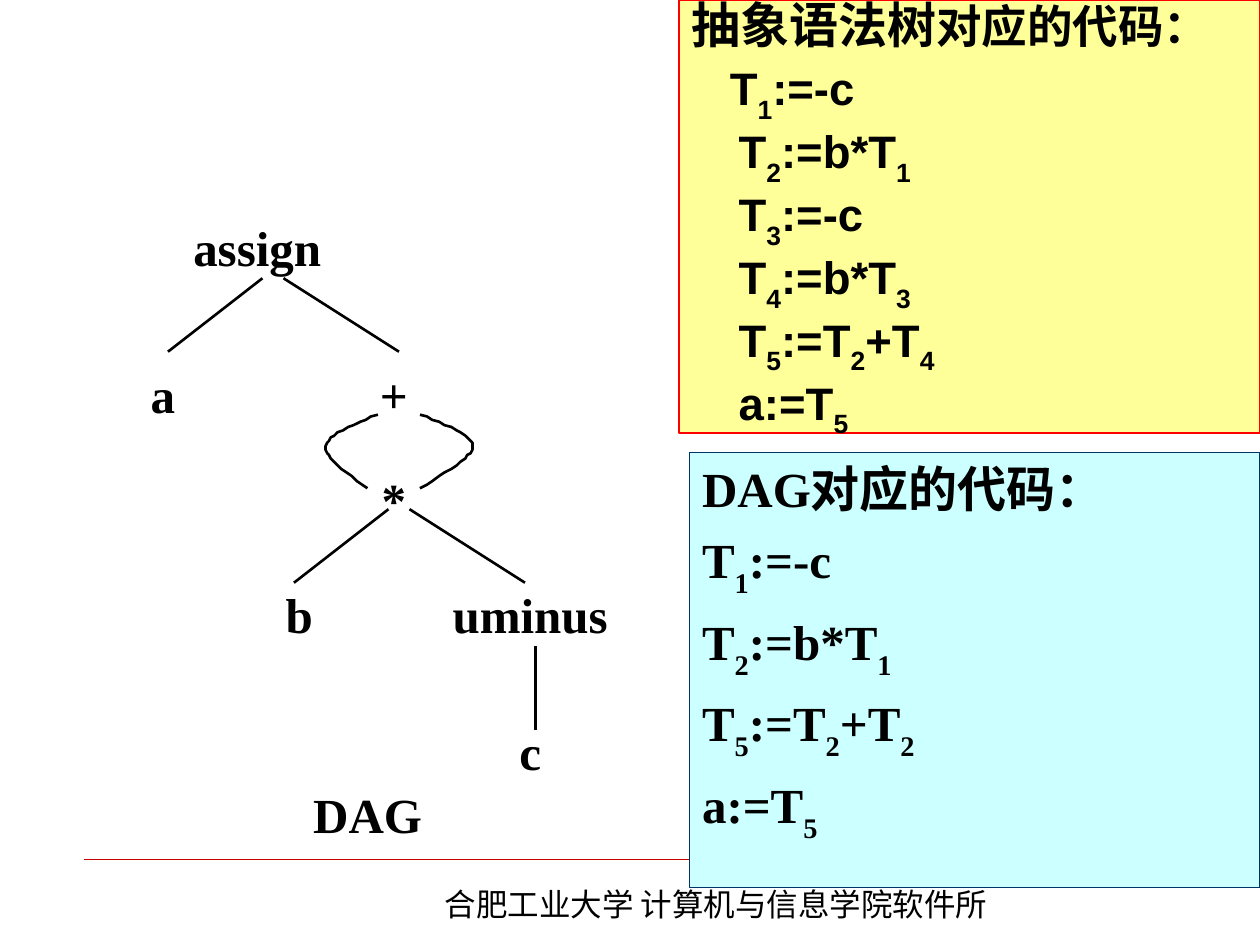
from pptx import Presentation
from pptx.dml.color import RGBColor
from pptx.enum.shapes import MSO_CONNECTOR as CONN, MSO_SHAPE as SHAPE
from pptx.enum.text import MSO_ANCHOR as ANCHOR, MSO_AUTO_SIZE as FIT, PP_ALIGN as ALIGN
from pptx.oxml.ns import qn
from pptx.util import Pt

COLORS = {
    "ink": "000000", "rule": "CC0000",
    "tree_fill": "FFFF99", "tree_line": "FF0000",
    "dag_fill": "CCFFFF", "dag_line": "003366",
}
SERIF, SANS, CJK = "Times New Roman", "Arial", "Noto Sans CJK SC"


def rgb(name):
    return RGBColor.from_string(COLORS[name])


def add_run(p, text, size, font, bold=True, sub=False):
    r = p.add_run()
    r.text = text
    r.font.size, r.font.name, r.font.bold = Pt(size), font, bold
    r.font.color.rgb = rgb("ink")
    rPr = r._r.get_or_add_rPr()
    ea = rPr.makeelement(qn("a:ea"), {"typeface": CJK})
    rPr.find(qn("a:latin")).addnext(ea)
    if sub:
        rPr.set("baseline", "-30000")


def add_code(p, code, size, font):
    """Write code; the character after each underscore is a subscript."""
    head, *rest = code.split("_")
    add_run(p, head, size, font)
    for part in rest:
        add_run(p, part[0], size, font, sub=True)
        if part[1:]:
            add_run(p, part[1:], size, font)


def add_label(s, text, x, y, w, h, size=28, font=SERIF, bold=True,
              align=ALIGN.CENTER, wrap=False):
    sp = s.shapes.add_textbox(Pt(x), Pt(y), Pt(w), Pt(h))
    tf = sp.text_frame
    tf.word_wrap, tf.auto_size = wrap, FIT.NONE
    tf.vertical_anchor = ANCHOR.MIDDLE
    p = tf.paragraphs[0]
    p.alignment = align
    add_run(p, text, size, font, bold)


def add_line(s, x1, y1, x2, y2, color="ink", width=1.5):
    sp = s.shapes.add_connector(CONN.STRAIGHT, Pt(x1), Pt(y1), Pt(x2), Pt(y2))
    sp.line.color.rgb, sp.line.width = rgb(color), Pt(width)
    sp._element.spPr.append(sp._element.spPr.makeelement(qn("a:effectLst"), {}))


def bezier(p0, p1, p2, p3, steps=12):
    def at(t, a, b, c, d):
        u = 1 - t
        return u**3 * a + 3 * u * u * t * b + 3 * u * t * t * c + t**3 * d
    return [tuple(at(i / steps, *axis) for axis in zip(p0, p1, p2, p3))
            for i in range(1, steps + 1)]


def add_loop(s, x, y, pts):
    """Draw two joined cubic curves through seven points."""
    pts = [(x + px, y + py) for px, py in pts]
    curve = bezier(*pts[:4]) + bezier(*pts[3:])
    fb = s.shapes.build_freeform(*pts[0], scale=Pt(1))
    fb.add_line_segments(curve, close=False)
    sp = fb.convert_to_shape()
    sp.shadow.inherit = False
    sp.fill.background()
    sp.line.color.rgb, sp.line.width = rgb("ink"), Pt(1.5)


def style_panel(sp, fill, line):
    sp.fill.solid()
    sp.fill.fore_color.rgb = rgb(fill)
    sp.line.color.rgb, sp.line.width = rgb(line), Pt(0.74)
    tf = sp.text_frame
    tf.word_wrap, tf.auto_size = True, FIT.NONE
    tf.vertical_anchor = ANCHOR.TOP
    return tf


def next_par(tf, i, before, indent=0):
    p = tf.paragraphs[0] if i == 0 else tf.add_paragraph()
    p.alignment, p.space_before = ALIGN.JUSTIFY, Pt(before)
    pPr = p._p.get_or_add_pPr()
    pPr.set("marL", str(Pt(indent)))
    pPr.set("indent", "0")
    pPr.append(pPr.makeelement(qn("a:buNone"), {}))
    return p


def footer(s, x, y, w):
    add_line(s, x, y, x + w, y, "rule", 0.26)
    add_label(s, "合肥工业大学 计算机与信息学院软件所", x + 199, y + 11, 363, 29,
              18, CJK, False, ALIGN.LEFT, True)


def dag_code(s, sp, x, y, w, h):
    sp.left, sp.top, sp.width, sp.height = Pt(x), Pt(y), Pt(w), Pt(h)
    s.shapes._spTree.append(sp._element)  # in front of the footer rule
    tf = style_panel(sp, "dag_fill", "dag_line")
    lines = ["DAG对应的代码：", "T_1:=-c", "T_2:=b*T_1", "T_5:=T_2+T_2", "a:=T_5"]
    for i, code in enumerate(lines):
        add_code(next_par(tf, i, 7), code, 28, SERIF)


def dag_figure(s, x, y):
    # Nodes
    nodes = [("assign", 54, 0), ("a", 0, 84), ("+", 132, 84), ("*", 132, 144),
             ("b", 78, 210), ("uminus", 210, 210), ("c", 210, 288)]
    for text, dx, dy in nodes:
        add_label(s, text, x + dx, y + dy, 78, 48)
    add_label(s, "DAG", x + 96, y + 324, 120, 48)
    # Branches
    for dx, dy in [(96, 42), (168, 174)]:
        bx, by = x + dx, y + dy
        add_line(s, bx, by, bx - 54, by + 42)
        add_line(s, bx + 12, by, bx + 78, by + 42)
    add_line(s, x + 252, y + 252, x + 252, y + 300)
    # Shared operand of the sum
    add_loop(s, x, y, [(162, 120), (148, 126), (133, 131), (132, 138),
                       (131, 145), (143, 153), (156, 162)])
    add_loop(s, x, y, [(186, 120), (201, 126), (216, 131), (216, 138),
                       (216, 145), (201, 153), (186, 162)])


def tree_code(s, x, y, w, h):
    sp = s.shapes.add_shape(SHAPE.RECTANGLE, Pt(x), Pt(y), Pt(w), Pt(h))
    sp.shadow.inherit = False
    tf = style_panel(sp, "tree_fill", "tree_line")
    p = next_par(tf, 0, 6.5)
    p.line_spacing = 0.8
    add_run(p, "抽象语法树", 28, SANS)
    add_run(p, "对应的代码：", 26, SANS)
    lines = ["T_1:=-c", "T_2:=b*T_1", "T_3:=-c", "T_4:=b*T_3", "T_5:=T_2+T_4", "a:=T_5"]
    for i, code in enumerate(lines, 1):
        p = next_par(tf, i, 6.5, 22 if i == 1 else 27)
        p.line_spacing = 0.8
        add_code(p, code, 26, SANS)


prs = Presentation()
prs.slide_width, prs.slide_height = Pt(720), Pt(540)
s = prs.slides.add_slide(prs.slide_layouts[1])
title, body = s.placeholders
title._element.getparent().remove(title._element)

footer(s, 48, 491, 624)
dag_code(s, body, 394, 258.5, 326, 248.5)
dag_figure(s, 54, 117)
tree_code(s, 388, 0, 332, 247.5)
prs.save("out.pptx")
